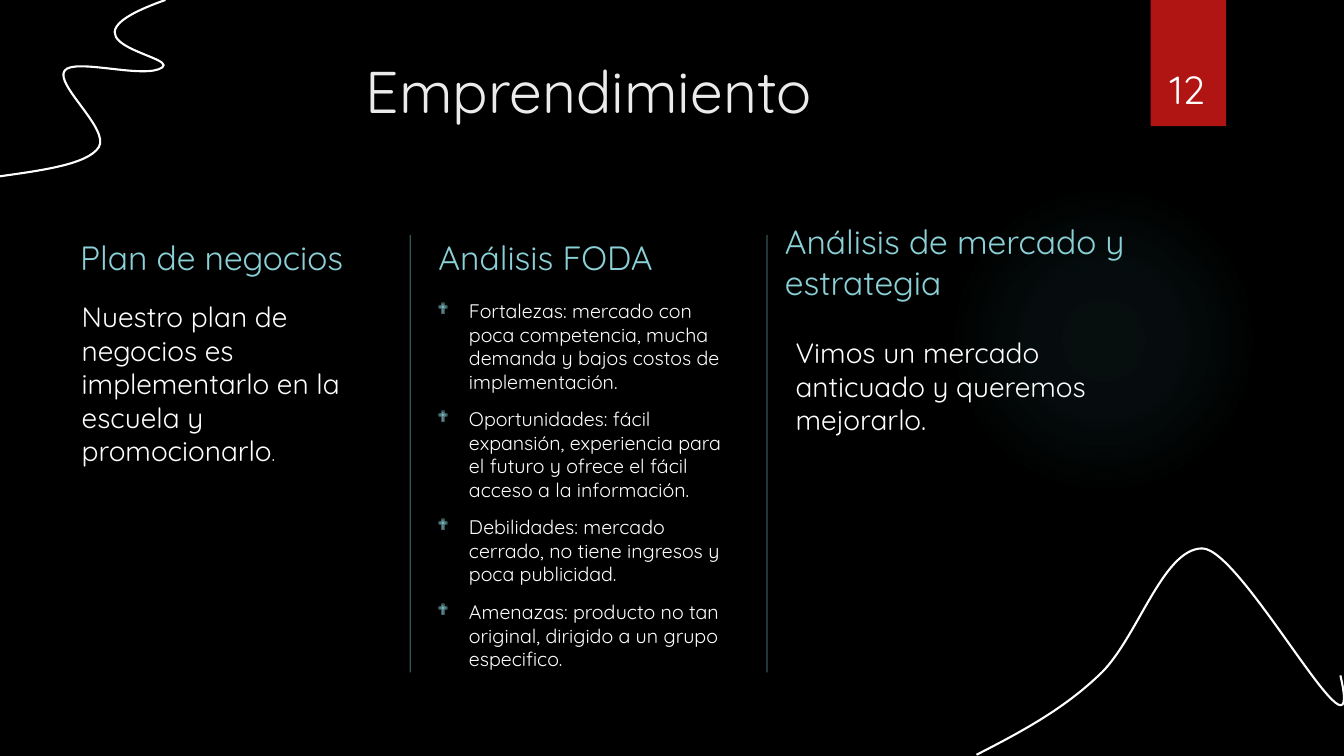
import pptx
import pptx.dml.color
import pptx.enum.shapes
import pptx.enum.text
import pptx.oxml
import pptx.oxml.ns
import pptx.util
from pptx.util import Cm

BLACK = pptx.dml.color.RGBColor(0x00, 0x00, 0x00)
WHITE = pptx.dml.color.RGBColor(0xFF, 0xFF, 0xFF)
LIGHT_GREY = pptx.dml.color.RGBColor(0xEB, 0xEB, 0xEB)
AQUA = pptx.dml.color.RGBColor(0x8A, 0xD0, 0xD6)
TEAL = pptx.dml.color.RGBColor(0x50, 0xB9, 0xC1)
RED = pptx.dml.color.RGBColor(0xB0, 0x15, 0x13)

TITLE = {"size": 42, "color": LIGHT_GREY, "align": "CENTER"}
HEADING = {"size": 24, "color": AQUA, "anchor": "BOTTOM", "before": 10}
BODY = {"size": 20, "color": WHITE, "before": 10}
BULLETS = {"size": 14, "color": WHITE, "before": 10, "bullet": "❖"}
NUMBER = {"size": 28, "color": WHITE, "align": "CENTER", "anchor": "BOTTOM"}

# Centimetres: left, top, width, height
TEXTS = [
    ((1.77, 1.25, 26.14, 3.89), TITLE, ["Emprendimiento"]),
    ((1.77, 5.51, 8.18, 1.6), HEADING, ["Plan de negocios"]),
    ((1.81, 7.42, 8.13, 9.98), BODY, [
        [("Nuestro plan de negocios es implementarlo en la escuela y promocionarlo", 20),
         (".", 14)]]),
    ((10.8, 5.51, 8.15, 1.6), HEADING, ["Análisis FODA"]),
    ((10.78, 7.41, 8.12, 9.98), BULLETS, [
        "Fortalezas: mercado con poca competencia, mucha demanda y bajos costos de implementación.",
        "Oportunidades: fácil expansión, experiencia para el futuro y ofrece el fácil acceso "
        "a la información.",
        "Debilidades: mercado cerrado, no tiene ingresos y poca publicidad.",
        "Amenazas: producto no tan original, dirigido a un grupo especifico."]),
    ((19.53, 6.13, 9.58, 1.6), HEADING, ["Análisis de mercado y estrategia"]),
    ((19.8, 8.33, 8.15, 8.86), BODY, ["Vimos un mercado anticuado y queremos mejorarlo."]),
    ((28.75, 0.83, 2.34, 2.13), NUMBER, ["12"]),
]

# Each curve: a start point, then two control points and an end point per piece
HILL = [(24.61, 19.02),
        (25.68, 18.47), (26.75, 17.91), (27.69, 17.02),
        (28.65, 16.15), (29.29, 13.82), (30.3, 13.82),
        (31.32, 13.82), (34.44, 19.84), (33.78, 17.02)]
SQUIGGLE = [(-0.05, 4.45),
            (1.09, 4.29), (2.21, 4.14), (2.49, 3.71),
            (2.77, 3.25), (1.37, 2.13), (1.63, 1.78),
            (1.88, 1.45), (3.66, 2.01), (4.09, 1.7),
            (4.5, 1.4), (1.14, 1.07), (4.17, 0)]


def drawing_xml(body):
    return pptx.oxml.parse_xml(body.replace(">", f" {pptx.oxml.ns.nsdecls('a')}>", 1))


def add_glow(slide, left, top, size):
    """Add a circle whose faint colour fades out from its centre."""
    glow = slide.shapes.add_shape(
        pptx.enum.shapes.MSO_SHAPE.OVAL, Cm(left), Cm(top), Cm(size), Cm(size))
    glow.shadow.inherit = False
    glow.line.fill.background()
    stops = "".join(
        f'<a:gs pos="{place * 1000}"><a:srgbClr val="{TEAL}">'
        f'<a:alpha val="{alpha * 1000}"/></a:srgbClr></a:gs>'
        for place, alpha in [(0, 7), (36, 6), (69, 0)])
    gradient = drawing_xml(
        f'<a:gradFill><a:gsLst>{stops}</a:gsLst><a:path path="circle">'
        '<a:fillToRect l="50000" t="50000" r="50000" b="50000"/></a:path></a:gradFill>')
    glow.element.spPr.find(pptx.oxml.ns.qn("a:prstGeom")).addnext(gradient)


def add_ribbon(slide, left, top, width, height):
    ribbon = slide.shapes.add_shape(
        pptx.enum.shapes.MSO_SHAPE.RECTANGLE, Cm(left), Cm(top), Cm(width), Cm(height))
    ribbon.shadow.inherit = False
    ribbon.fill.solid()
    ribbon.fill.fore_color.rgb = RED
    ribbon.line.fill.background()


def add_divider(slide, x, top, bottom):
    divider = slide.shapes.add_connector(
        pptx.enum.shapes.MSO_CONNECTOR.STRAIGHT, Cm(x), Cm(top), Cm(x), Cm(bottom))
    divider.line.width = pptx.util.Pt(1)
    divider.line.color.rgb = AQUA
    color = divider.element.spPr.find(".//" + pptx.oxml.ns.qn("a:srgbClr"))
    color.append(drawing_xml('<a:alpha val="40000"></a:alpha>'))
    divider.element.spPr.append(drawing_xml("<a:effectLst></a:effectLst>"))


def bend_segments(curve, knots):
    """Turn each straight segment of the outline into its cubic Bézier piece."""
    segments = curve.element.spPr.findall(".//" + pptx.oxml.ns.qn("a:lnTo"))
    for index, segment in enumerate(segments):
        points = "".join(
            f'<a:pt x="{Cm(x) - curve.left}" y="{Cm(y) - curve.top}"/>'
            for x, y in knots[3 * index + 1:3 * index + 4])
        bend = drawing_xml(f"<a:cubicBezTo>{points}</a:cubicBezTo>")
        segment.getparent().replace(segment, bend)


def add_curve(slide, knots):
    start, *ends = [(Cm(x), Cm(y)) for x, y in knots[::3]]
    builder = slide.shapes.build_freeform(*start)
    builder.add_line_segments(ends, close=False)
    curve = builder.convert_to_shape()
    bend_segments(curve, knots)
    curve.shadow.inherit = False
    curve.fill.background()
    curve.line.color.rgb = WHITE
    curve.line.width = pptx.util.Pt(1.5)


def add_bullet(para, mark):
    properties = para._p.get_or_add_pPr()
    for name, value in {"marL": Cm(0.79), "indent": -Cm(0.79)}.items():
        properties.set(name, str(value))
    for body in (f'<a:buClr><a:srgbClr val="{AQUA}"/></a:buClr>',
                 '<a:buSzPct val="80000"></a:buSzPct>',
                 '<a:buFont typeface="Wingdings" charset="2"></a:buFont>',
                 f'<a:buChar char="{mark}"></a:buChar>'):
        properties.append(drawing_xml(body))


def add_text(slide, place, style, paragraphs):
    """Add a text box; a paragraph is a string or a list of (text, size) pairs."""
    box = slide.shapes.add_textbox(*(Cm(length) for length in place))
    frame = box.text_frame
    settings = {
        "word_wrap": True,
        "auto_size": pptx.enum.text.MSO_AUTO_SIZE.NONE,
        "vertical_anchor": pptx.enum.text.MSO_ANCHOR[style.get("anchor", "TOP")],
    }
    for name, value in settings.items():
        setattr(frame, name, value)
    for index, content in enumerate(paragraphs):
        para = frame.add_paragraph() if index else frame.paragraphs[0]
        para.alignment = pptx.enum.text.PP_ALIGN[style.get("align", "LEFT")]
        para.space_before = pptx.util.Pt(style.get("before", 0))
        if "bullet" in style:
            add_bullet(para, style["bullet"])
        spans = [(content, style["size"])] if isinstance(content, str) else content
        for text, size in spans:
            span = para.add_run()
            span.text = text
            span.font.color.rgb = style["color"]
            for name, value in {"name": "Quicksand", "size": pptx.util.Pt(size)}.items():
                setattr(span.font, name, value)


def main():
    deck = pptx.Presentation()
    deck.slide_width, deck.slide_height = Cm(33.87), Cm(19.05)
    slide = deck.slides.add_slide(deck.slide_layouts[6])
    slide.background.fill.solid()
    slide.background.fill.fore_color.rgb = BLACK

    add_glow(slide, 23.9, 4.65, 7.82)
    add_ribbon(slide, 29, 0, 1.9, 3.18)
    for x in (10.34, 19.33):
        add_divider(slide, x, 5.92, 16.94)
    for place, style, paragraphs in TEXTS:
        add_text(slide, place, style, paragraphs)
    for knots in (HILL, SQUIGGLE):
        add_curve(slide, knots)
    deck.save("out.pptx")


if __name__ == "__main__":
    main()
